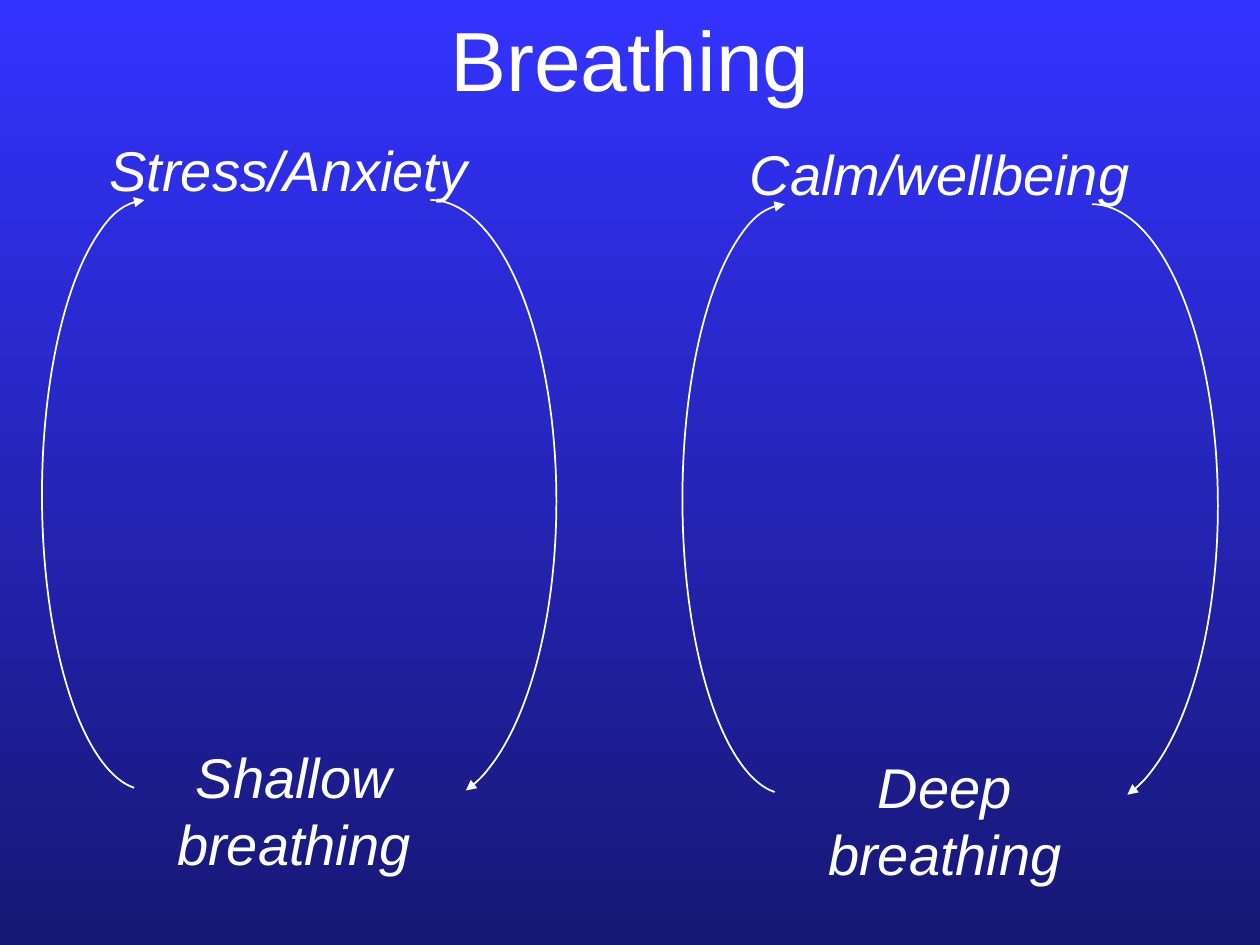
from lxml import etree
from pptx import Presentation
from pptx import util as u
from pptx.dml.color import RGBColor
from pptx.enum import shapes, text
from pptx.oxml.ns import qn

COLORS = {"white": "FFFFFF", "top": "3333FF", "bottom": "171775"}
FONT = "Arial"
UNIT = u.Inches(10) // 120  # grid of 120 columns by 90 rows


def grid(*cells):
    return [round(cell * UNIT) for cell in cells]


def color(name):
    return RGBColor.from_string(COLORS[name])


def add_text(slide, box, content, size=32, italic=False, anchor="TOP", top_margin=0.05):
    shape = slide.shapes.add_textbox(*grid(*box))
    frame = shape.text_frame
    frame.word_wrap = True
    frame.margin_top = u.Inches(top_margin)
    frame.vertical_anchor = getattr(text.MSO_ANCHOR, anchor)
    paragraph = frame.paragraphs[0]
    paragraph.alignment = text.PP_ALIGN.CENTER
    run = paragraph.add_run()
    run.text = content
    run.font.name = FONT
    run.font.size = u.Pt(size)
    run.font.italic = italic
    run.font.color.rgb = color("white")


def add_arc_arrow(slide, box, start, end):
    """Clockwise arc between two angles in degrees, with an arrowhead at its end."""
    shape = slide.shapes.add_shape(shapes.MSO_SHAPE.ARC, *grid(*box))
    for index, angle in enumerate((start, end)):
        shape.adjustments[index] = angle * 0.6  # 60000 per degree, over 100000
    shape.shadow.inherit = False
    shape.fill.background()
    shape.line.color.rgb = color("white")
    shape.line.width = u.Pt(1)
    line = shape.line._get_or_add_ln()
    etree.SubElement(line, qn("a:tailEnd"), type="triangle")


def add_background(slide):
    fill = slide.background.fill
    fill.gradient()
    fill.gradient_angle = 270
    for stop, name in zip(fill.gradient_stops, ("top", "bottom")):
        stop.color.rgb = color(name)


def add_title(slide, box):
    add_text(slide, box, "Breathing", size=48, anchor="MIDDLE")


def add_cycle(slide, box, state, breathing):
    left, top, width, height = box
    center = left + width / 2
    arc_top = top + 7.25

    # State above, breathing below
    add_text(slide, (center - 21.5, top, 41, 7.5), state, italic=True, top_margin=0.09)
    add_text(slide, (center - 13.5, top + height - 14, 26, 14), breathing,
             italic=True, top_margin=0.09)

    # Arrows down the right side and up the left side
    add_arc_arrow(slide, (left + width - 24, arc_top, 24, 57.4), 270, 83)
    add_arc_arrow(slide, (left, arc_top, 20, 56.2), 92.5, 269.5)


def main():
    presentation = Presentation()
    presentation.slide_width, presentation.slide_height = grid(120, 90)
    slide = presentation.slides.add_slide(presentation.slide_layouts[6])
    add_background(slide)
    add_title(slide, (9, 1, 102, 9))
    add_cycle(slide, (4, 11.8, 49, 71.8), "Stress/Anxiety", "Shallow breathing")
    add_cycle(slide, (65, 12.2, 51, 72.4), "Calm/wellbeing", "Deep breathing")
    presentation.save("out.pptx")


if __name__ == "__main__":
    main()
